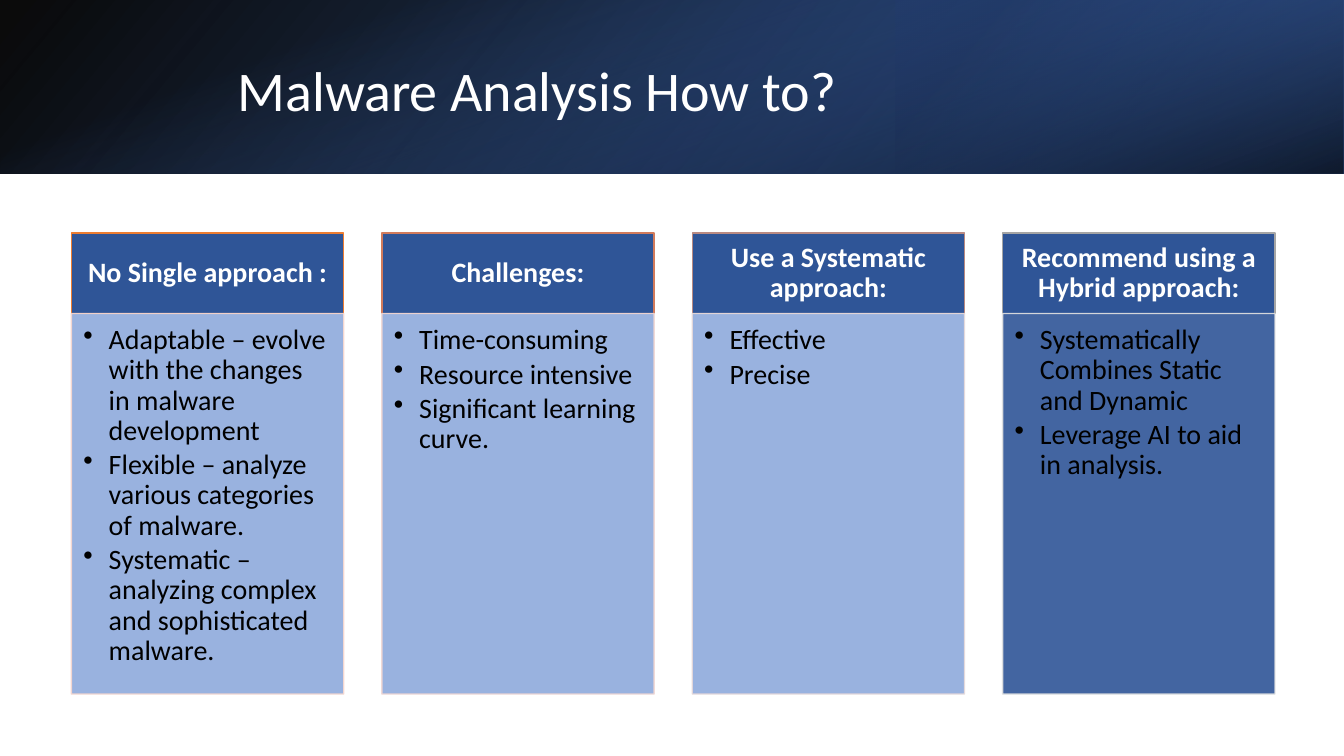
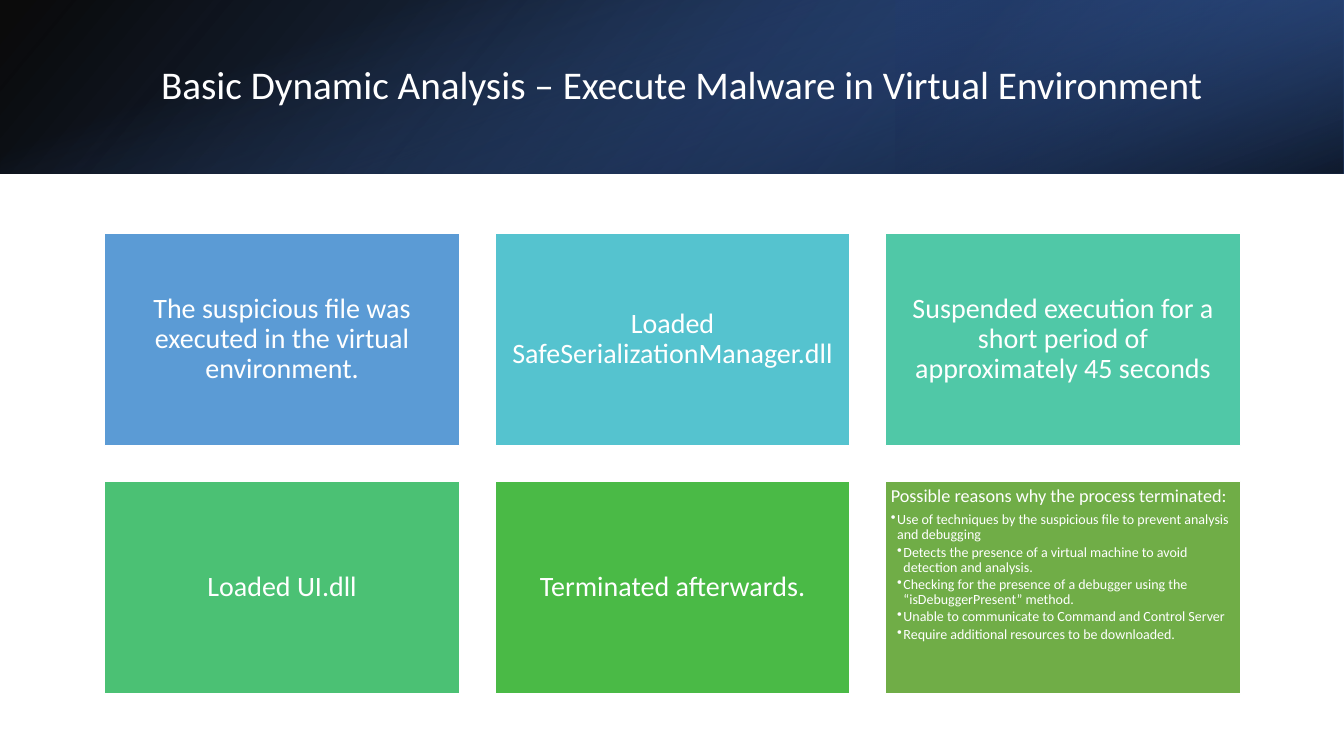
from dataclasses import dataclass
from typing import NamedTuple

from lxml.etree import SubElement
from pptx import Presentation
from pptx.dml.color import RGBColor
from pptx.enum.shapes import MSO_SHAPE as Preset
from pptx.enum.text import MSO_ANCHOR as Anchor, PP_ALIGN as Align
from pptx.oxml.ns import qn
from pptx.util import Cm, Pt


@dataclass(frozen=True)
class Theme:
    font: str = "Calibri"
    white: str = "FFFFFF"
    black: str = "000000"
    navy: str = "203864"
    blue: str = "2F5597"
    bright: str = "4472C4"
    pale: str = "8FAADC"
    title_size: int = 40
    long_title_size: int = 28
    text_size: int = 20
    lead_size: int = 13
    detail_size: int = 10
    line_width: int = 1
    line_spacing: float = 0.9


class Box(NamedTuple):
    left: float
    top: float
    width: float
    height: float

    def lengths(self):
        return [Cm(value) for value in self]


THEME = Theme()
SLIDE = Box(0, 0, 33.87, 19.05)
BAND = Box(0, 0, SLIDE.width, 4.37)
COLUMNS_AREA = Box(1.8, 5.87, 30.33, 11.62)
TILES_AREA = Box(2.64, 5.87, 28.62, 11.62)

COLUMNS = [
    ("No Single approach :", THEME.pale, "ED7D31", "F8D7CE", [
        "Adaptable – evolve with the changes in malware development",
        "Flexible – analyze various categories of malware.",
        "Systematic – analyzing complex and sophisticated malware.",
    ]),
    ("Challenges:", THEME.pale, "D17B5C", "F1D8D4", [
        "Time-consuming",
        "Resource intensive",
        "Significant learning curve.",
    ]),
    ("Use a Systematic approach:", THEME.pale, "B98A82", "E9DBDA", [
        "Effective",
        "Precise",
    ]),
    ("Recommend using a Hybrid approach:", THEME.blue, "A5A5A5", "E1E1E1", [
        "Systematically Combines Static and Dynamic",
        "Leverage AI to aid in analysis.",
    ]),
]

TILES = [
    ("The suspicious file was executed in the virtual environment.", "5B9BD5"),
    ("Loaded SafeSerializationManager.dll", "55C3CF"),
    ("Suspended execution for a short period of approximately 45 seconds", "50C8A7"),
    ("Loaded UI.dll", "4BC174"),
    ("Terminated afterwards.", "4ABA46"),
    ("Possible reasons why the process terminated:", "70AD47"),
]

REASONS = [
    (1, "Use of techniques by the suspicious file to prevent analysis and debugging"),
    (2, "Detects the presence of a virtual machine to avoid detection and analysis."),
    (2, "Checking for the presence of a debugger using the “isDebuggerPresent” method."),
    (2, "Unable to communicate to Command and Control Server"),
    (2, "Require additional resources to be downloaded."),
]


def set_alpha(shape, *alphas):
    colors = list(shape.element.spPr.iter(qn("a:srgbClr")))
    for color, alpha in zip(colors, alphas):
        SubElement(color, qn("a:alpha")).set("val", str(alpha * 1000))


def add_rectangle(slide, box, fill=None, line=None):
    shape = slide.shapes.add_shape(Preset.RECTANGLE, *box.lengths())
    shape.shadow.inherit = False
    if fill:
        shape.fill.solid()
        shape.fill.fore_color.rgb = RGBColor.from_string(fill)
    if line:
        shape.line.color.rgb = RGBColor.from_string(line)
        shape.line.width = Pt(THEME.line_width)
    else:
        shape.line.fill.background()
    return shape


def set_frame(shape, margins, anchor=Anchor.MIDDLE):
    frame = shape.text_frame
    frame.word_wrap = True
    frame.vertical_anchor = anchor
    frame.margin_left, frame.margin_top, frame.margin_right, frame.margin_bottom = map(Cm, margins)
    return frame


def write_text(frame, text, *, size=THEME.text_size, color=THEME.white, bold=False,
               align=Align.LEFT, after=0, level=0, indent=0, hanging=0):
    first = frame.paragraphs[0]
    paragraph = frame.add_paragraph() if first.runs else first
    paragraph.alignment = align
    paragraph.line_spacing = THEME.line_spacing
    paragraph.space_before = Pt(0)
    paragraph.space_after = Pt(size * after)
    paragraph.level = level
    if hanging:
        properties = paragraph._p.get_or_add_pPr()
        properties.set("marL", str(Cm(indent)))
        properties.set("indent", str(-Cm(hanging)))
        SubElement(properties, qn("a:buChar")).set("char", "•")
    run = paragraph.add_run()
    run.text = text
    run.font.name = THEME.font
    run.font.size = Pt(size)
    run.font.bold = bold
    run.font.color.rgb = RGBColor.from_string(color)


def add_gradient(slide, box, stops, angle, rotation=0, flip=False):
    shape = add_rectangle(slide, box)
    shape.rotation = rotation
    if flip:
        shape.element.spPr.xfrm.set("flipH", "1")
    shape.fill.gradient()
    shape.fill.gradient_angle = 360 - angle
    for stop, (position, color, _) in zip(shape.fill.gradient_stops, stops):
        stop.position = position
        stop.color.rgb = RGBColor.from_string(color)
    set_alpha(shape, *(alpha for _, _, alpha in stops))


def add_band(slide, box):
    third = box.width / 3
    corner = Box(box.left + 2 * third, box.top, third, box.height)
    shift = (box.width - box.height) / 2
    upright = Box(box.left + shift, box.top - shift, box.height, box.width)
    add_gradient(slide, box, [(0, THEME.black, 96), (1, THEME.blue, 100)], 140, flip=True)
    add_gradient(slide, corner, [(0.19, THEME.navy, 68), (1, THEME.bright, 79)], 320,
                 rotation=180, flip=True)
    add_gradient(slide, upright, [(0.23, THEME.bright, 0), (0.99, THEME.black, 74)], 340,
                 rotation=90)


def add_titled_slide(presentation, text, left, top, size):
    slide = presentation.slides.add_slide(presentation.slide_layouts[5])
    add_band(slide, BAND)
    title = slide.shapes.title
    slide.shapes.element.append(title.element)
    box = Box(BAND.left + left, BAND.top + top, 27.89, 2.44)
    title.left, title.top, title.width, title.height = box.lengths()
    write_text(set_frame(title, (0.25, 0.13, 0.25, 0.13)), text, size=size)
    return slide


def add_column(slide, box, heading, fill, heading_line, body_line, points):
    heading_height = 2.03
    heading_box = box._replace(height=heading_height)
    body_box = box._replace(top=box.top + heading_height, height=box.height - heading_height)
    header = add_rectangle(slide, heading_box, THEME.blue, heading_line)
    write_text(set_frame(header, (0.41, 0.23, 0.41, 0.23)), heading, bold=True, align=Align.CENTER)
    body = add_rectangle(slide, body_box, fill, body_line)
    set_alpha(body, 90, 90)
    frame = set_frame(body, (0.3, 0.3, 0.41, 0.43), Anchor.TOP)
    for point in points:
        write_text(frame, point, color=THEME.black, after=0.15, level=1, indent=0.64, hanging=0.64)


def add_columns(slide, box):
    gap = 0.96
    width = (box.width - gap * (len(COLUMNS) - 1)) / len(COLUMNS)
    for index, column in enumerate(COLUMNS):
        left = box.left + index * (width + gap)
        add_column(slide, Box(left, box.top, width, box.height), *column)


def add_tile(slide, box, text, fill):
    tile = add_rectangle(slide, box, fill, THEME.white)
    write_text(set_frame(tile, (0.2,) * 4), text, align=Align.CENTER)


def add_reasons_tile(slide, box, text, fill):
    tile = add_rectangle(slide, box, fill, THEME.white)
    frame = set_frame(tile, (0.13,) * 4, Anchor.TOP)
    write_text(frame, text, size=THEME.lead_size, after=0.35)
    for level, reason in REASONS:
        write_text(frame, reason, size=THEME.detail_size, after=0.15, level=level,
                   indent=0.16 * level, hanging=0.16)


def add_tiles(slide, box):
    gap, column_count, row_count = 0.9, 3, 2
    width = (box.width - gap * (column_count - 1)) / column_count
    height = (box.height - gap * (row_count - 1)) / row_count
    for index, (text, fill) in enumerate(TILES):
        row, column = divmod(index, column_count)
        tile_box = Box(box.left + column * (width + gap), box.top + row * (height + gap),
                       width, height)
        draw = add_reasons_tile if index == len(TILES) - 1 else add_tile
        draw(slide, tile_box, text, fill)


def main():
    presentation = Presentation()
    presentation.slide_width = Cm(SLIDE.width)
    presentation.slide_height = Cm(SLIDE.height)
    approach = add_titled_slide(presentation, "Malware Analysis How to?",
                                5.74, 1.14, THEME.title_size)
    add_columns(approach, COLUMNS_AREA)
    dynamic = add_titled_slide(
        presentation, "Basic Dynamic Analysis – Execute Malware in Virtual Environment",
        3.81, 0.97, THEME.long_title_size)
    add_tiles(dynamic, TILES_AREA)
    presentation.save("out.pptx")


if __name__ == "__main__":
    main()
